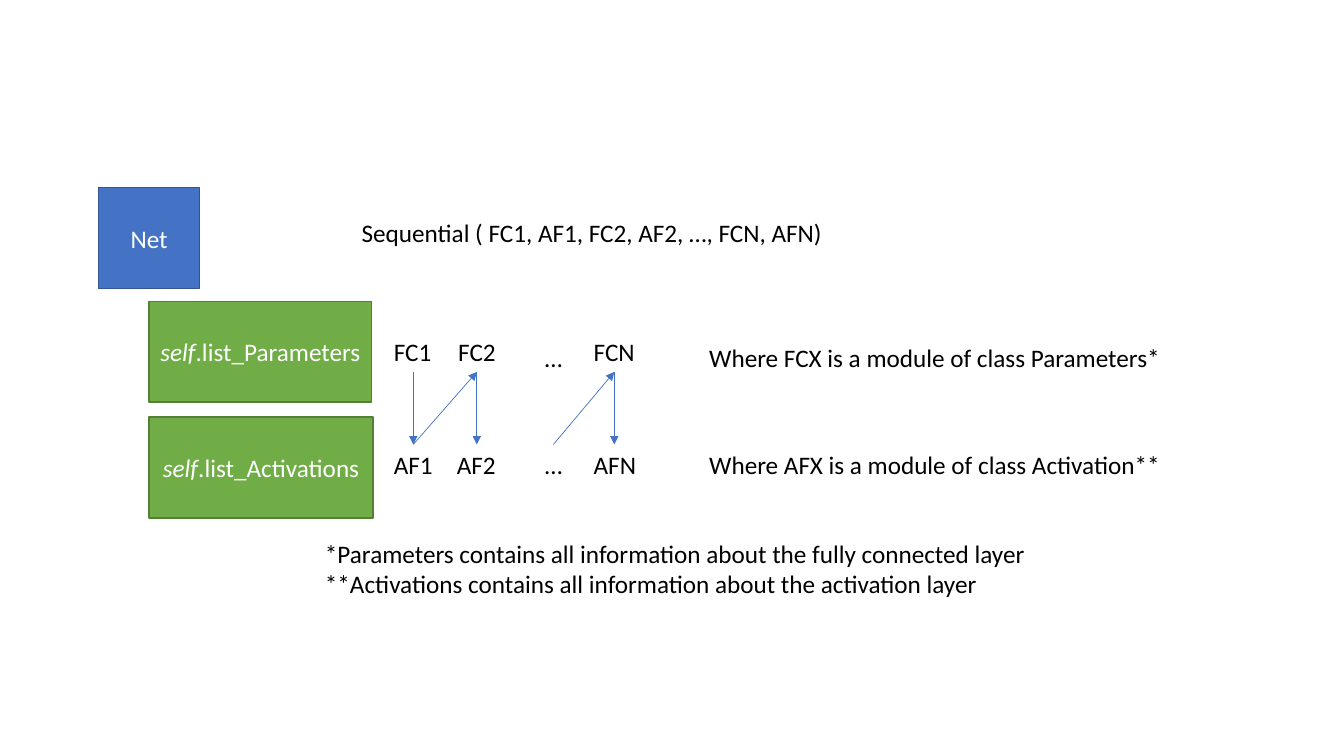
from dataclasses import dataclass
from pptx import Presentation
from pptx.dml.color import RGBColor
from pptx.enum import shapes, text
from pptx.oxml.ns import qn
from pptx.util import Pt
from lxml import etree


@dataclass
class Theme:
    font: str = "Calibri"
    size: int = 18
    ink: str = "000000"
    light: str = "FFFFFF"
    blue: str = "4472C4"
    navy: str = "325491"
    green: str = "70AD47"
    moss: str = "538035"
    edge: float = 1
    wire: float = 0.5


THEME = Theme()
FC_TOP, DOT_TOP, AF_TOP = 237, 241.2, 317.5
FC_END = 265.7
LINE = 29

# left, top, width, fill, border, runs of (words, italic)
BOXES = [
    (70.5, 134, 72, THEME.blue, THEME.navy, [("Net", False)]),
    (106.5, 215.3, 159, THEME.green, THEME.moss,
     [("self", True), (".list_Parameters", False)]),
    (106.5, 298, 160, THEME.green, THEME.moss,
     [("self", True), (".list_Activations", False)]),
]
SIDE = 72

# left, top, width, lines
LABELS = [
    (274.2, FC_TOP, 41.8, ["FC1"]),
    (274.2, AF_TOP, 42.5, ["AF1"]),
    (320.2, FC_TOP, 41.8, ["FC2"]),
    (319.2, AF_TOP, 42.5, ["AF2"]),
    (382.2, DOT_TOP, 27.2, ["…"]),
    (382.2, AF_TOP, 27.2, ["…"]),
    (417, FC_TOP, 44, ["FCN"]),
    (417, AF_TOP, 45.3, ["AFN"]),
    (251.2, 152, 347, ["Sequential ( FC1, AF1, FC2, AF2, …, FCN, AFN)"]),
    (499.5, DOT_TOP, 340.6, ["Where FCX is a module of class Parameters*"]),
    (499.5, AF_TOP, 340.6, ["Where AFX is a module of class Activation**"]),
    (225, 381, 520.5, [
        "*Parameters contains all information about the fully connected layer",
        "**Activations contains all information about the activation layer"]),
]

# x of each layer: 1, 2, the dots, N
FIRST, SECOND, DOTS, LAST = 295.2, 340.6, 395.3, 438.8
DOWN = [FIRST, SECOND, LAST]
UP = [(FIRST, SECOND), (DOTS, LAST)]


def rgb(code):
    return RGBColor.from_string(code)


def style(par, color):
    par.font.name = THEME.font
    par.font.size = Pt(THEME.size)
    par.font.color.rgb = rgb(color)


def add_box(slide, left, top, width, fill, edge, runs):
    box = slide.shapes.add_shape(shapes.MSO_SHAPE.RECTANGLE, Pt(left), Pt(top),
                                 Pt(width), Pt(SIDE))
    box.shadow.inherit = False
    box.fill.solid()
    box.fill.fore_color.rgb = rgb(fill)
    box.line.color.rgb = rgb(edge)
    box.line.width = Pt(THEME.edge)
    frame = box.text_frame
    frame.vertical_anchor = text.MSO_ANCHOR.MIDDLE
    par = frame.paragraphs[0]
    par.alignment = text.PP_ALIGN.CENTER
    style(par, THEME.light)
    for words, slant in runs:
        run = par.add_run()
        run.text = words
        run.font.italic = slant


def add_label(slide, left, top, width, lines):
    height = LINE + 22 * (len(lines) - 1)
    label = slide.shapes.add_textbox(Pt(left), Pt(top), Pt(width), Pt(height))
    frame = label.text_frame
    frame.word_wrap = False
    frame.auto_size = text.MSO_AUTO_SIZE.SHAPE_TO_FIT_TEXT
    frame.text = "\n".join(lines)
    for par in frame.paragraphs:
        style(par, THEME.ink)


def add_arrow(slide, start, end):
    arrow = slide.shapes.add_connector(shapes.MSO_CONNECTOR.STRAIGHT,
                                       *map(Pt, start + end))
    arrow.line.color.rgb = rgb(THEME.blue)
    arrow.line.width = Pt(THEME.wire)
    etree.SubElement(arrow.line._get_or_add_ln(), qn("a:tailEnd"),
                     type="triangle")
    etree.SubElement(arrow._element.spPr, qn("a:effectLst"))


def main():
    deck = Presentation()
    deck.slide_width, deck.slide_height = Pt(960), Pt(540)
    slide = deck.slides.add_slide(deck.slide_layouts[6])
    for box in BOXES:
        add_box(slide, *box)
    for label in LABELS:
        add_label(slide, *label)
    for x in DOWN:
        add_arrow(slide, (x, FC_END), (x, AF_TOP))
    for low, high in UP:
        add_arrow(slide, (low, AF_TOP), (high, FC_END))
    deck.save("out.pptx")


if __name__ == "__main__":
    main()
